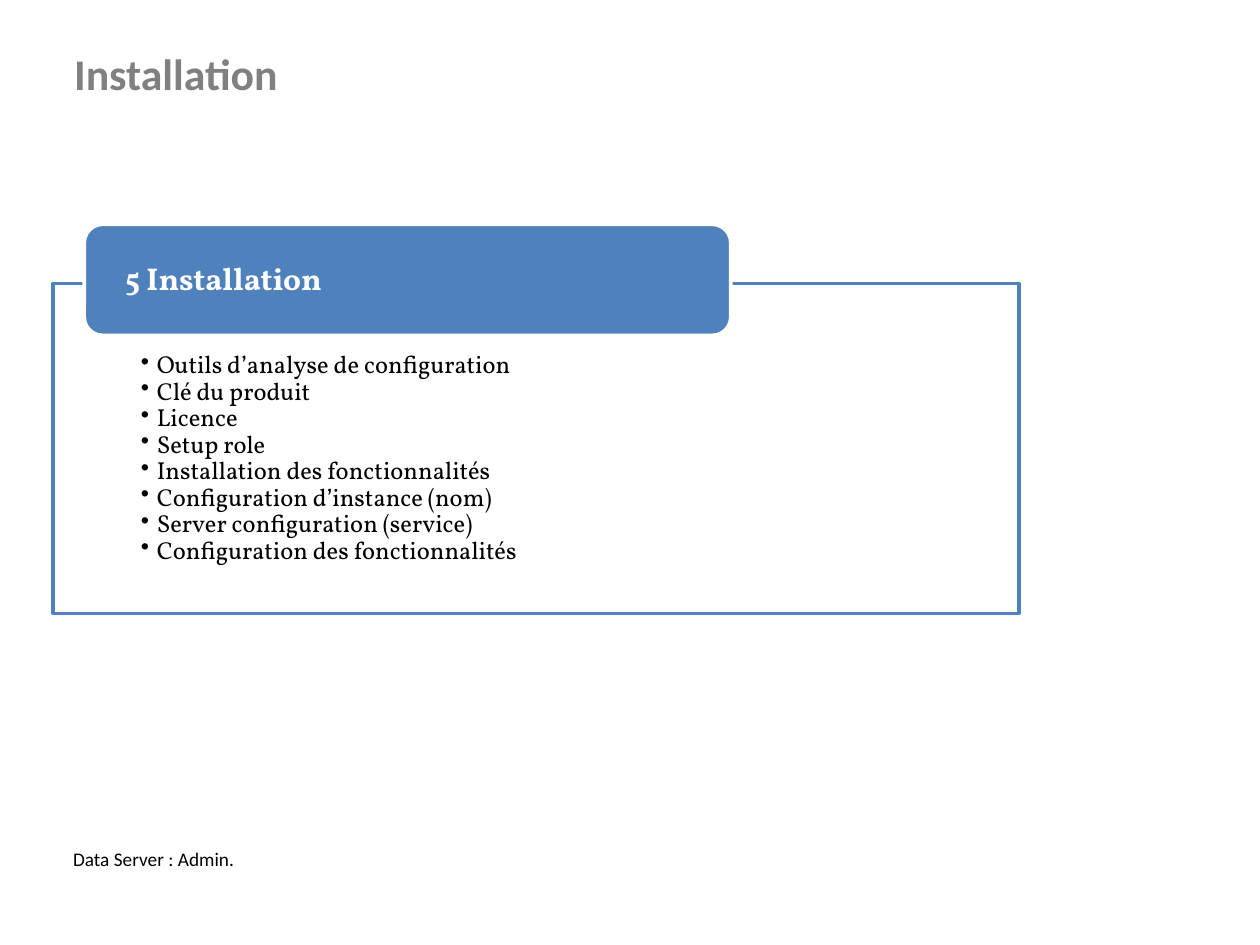
import lxml.etree
import pptx
import pptx.dml.color
import pptx.enum.shapes
import pptx.enum.text
import pptx.oxml.ns
import pptx.util

Pt = pptx.util.Pt
qn = pptx.oxml.ns.qn
SHAPES = pptx.enum.shapes.MSO_SHAPE
ANCHORS = pptx.enum.text.MSO_ANCHOR
BLUE, WHITE, BLACK, GRAY = "4F81BD", "FFFFFF", "000000", "808080"


def color(value):
    return pptx.dml.color.RGBColor.from_string(value)


def write(box, lines, insets, anchor, spacing, text_color, font, bullet=False):
    frame = box.text_frame
    frame.word_wrap = True
    frame.vertical_anchor = anchor
    for side, inset in zip(("left", "top", "right", "bottom"), insets):
        setattr(frame, f"margin_{side}", Pt(inset))
    for index, line in enumerate(lines):
        para = frame.add_paragraph() if index else frame.paragraphs[0]
        para.alignment = pptx.enum.text.PP_ALIGN.LEFT
        para.line_spacing = spacing
        if bullet:
            para.level = 1
            properties = para._p.get_or_add_pPr()
            properties.set("marL", str(Pt(9)))
            properties.set("indent", str(Pt(-9)))
            lxml.etree.SubElement(properties, qn("a:buChar")).set("char", "•")
        span = para.add_run()
        span.text = line
        for name, value in font.items():
            setattr(span.font, name, value)
        span.font.color.rgb = color(text_color)


deck = pptx.Presentation()
deck.slide_width, deck.slide_height = Pt(720), Pt(540)
page = deck.slides.add_slide(deck.slide_layouts[6])

# Page title
title = page.shapes.add_textbox(Pt(35.3), Pt(23), Pt(648.7), Pt(57))
write(title, ["Installation"], (7.2, 3.6, 7.2, 3.6), ANCHORS.TOP, 1.0, GRAY,
      {"name": "Calibri", "size": Pt(25), "bold": True})

# Outlined panel and its overlapping heading
panel = page.shapes.add_shape(SHAPES.RECTANGLE, Pt(30.2), Pt(162), Pt(552.2), Pt(188.6))
heading = page.shapes.add_shape(SHAPES.ROUNDED_RECTANGLE, Pt(48.2), Pt(128.2), Pt(369.4), Pt(63.4))
for shape, fill, line in ((panel, WHITE, BLUE), (heading, BLUE, WHITE)):
    shape.shadow.inherit = False
    shape.fill.solid()
    shape.fill.fore_color.rgb = color(fill)
    shape.line.color.rgb = color(line)
    shape.line.width = Pt(2)

# Panel fill is 90 % opaque
fill_color = panel._element.spPr.find(qn("a:solidFill")).find(qn("a:srgbClr"))
lxml.etree.SubElement(fill_color, qn("a:alpha")).set("val", "90000")

steps = [
    "Outils d’analyse de configuration",
    "Clé du produit",
    "Licence",
    "Setup role",
    "Installation des fonctionnalités",
    "Configuration d’instance (nom)",
    "Server configuration (service)",
    "Configuration des fonctionnalités",
]
write(panel, steps, (50.4, 39.6, 50.4, 7.9), ANCHORS.TOP, 0.9, BLACK,
      {"name": "Vollkorn", "size": Pt(14)}, bullet=True)
write(heading, ["5 Installation"], (20.2, 2.9, 17.3, 2.9), ANCHORS.MIDDLE, 0.9, WHITE,
      {"name": "Vollkorn", "size": Pt(18), "bold": True})

# Footer
footer = page.shapes.add_textbox(Pt(35.3), Pt(481), Pt(198.7), Pt(31))
write(footer, ["Data Server : Admin."], (6.5, 2.9, 6.5, 2.9), ANCHORS.TOP, 1.0, BLACK,
      {"name": "Calibri", "size": Pt(11)})

deck.save("out.pptx")
